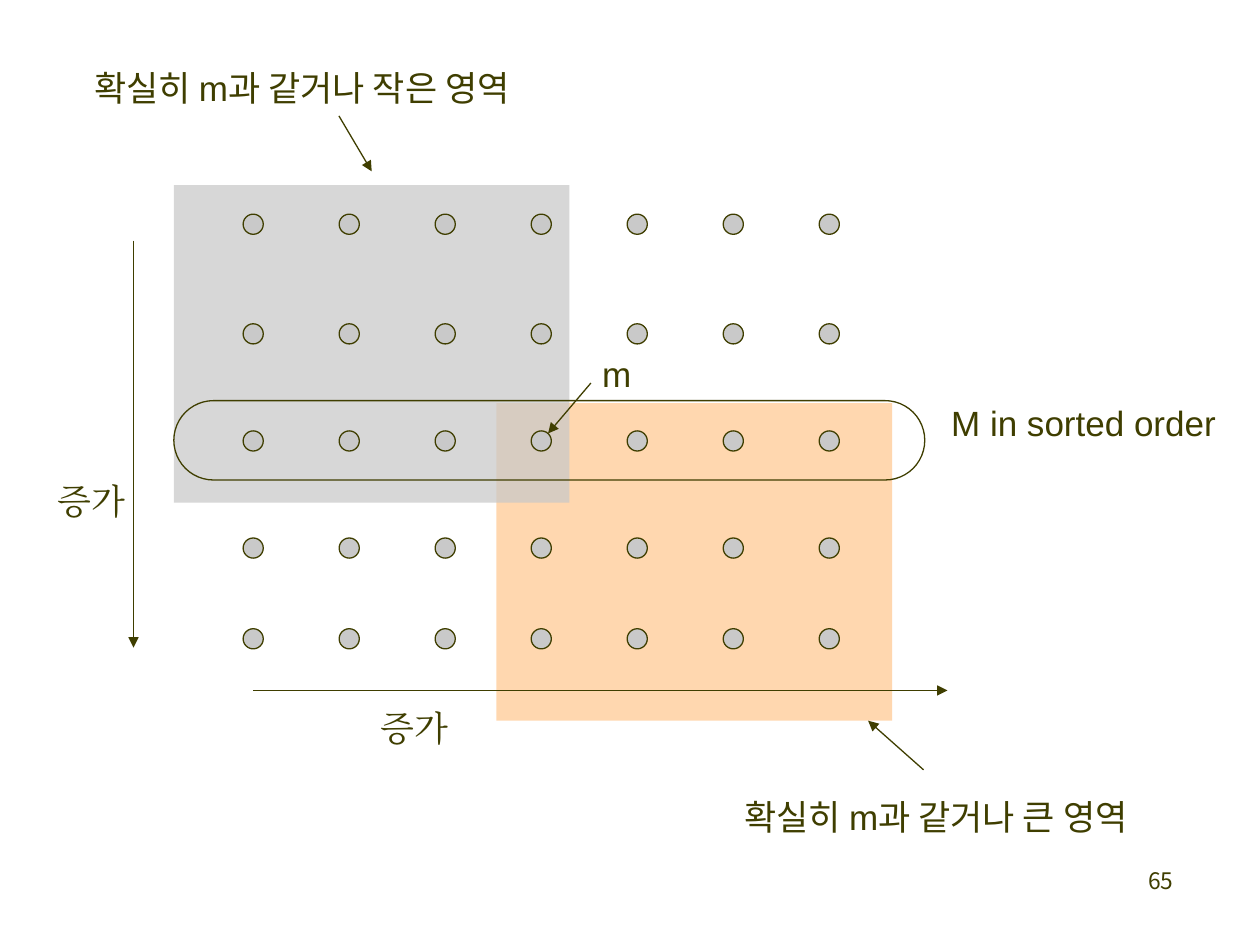
"""Build a slide showing the regions around m in a partially sorted grid."""
from lxml import etree
from pptx import Presentation
from pptx.dml.color import RGBColor
from pptx.enum.shapes import MSO_CONNECTOR, MSO_SHAPE
from pptx.enum.text import MSO_ANCHOR, MSO_AUTO_SIZE, PP_ALIGN
from pptx.oxml.ns import qn
from pptx.util import Inches, Pt

OLIVE = RGBColor(0x3F, 0x3E, 0x00)
GREY = RGBColor(0xC9, 0xC9, 0xC9)
PEACH = RGBColor(0xFF, 0xD6, 0xAD)
RECTANGLE, OVAL, PILL = MSO_SHAPE.RECTANGLE, MSO_SHAPE.OVAL, MSO_SHAPE.ROUNDED_RECTANGLE
STRAIGHT = MSO_CONNECTOR.STRAIGHT
TOP = MSO_ANCHOR.TOP
GROW, FIXED = MSO_AUTO_SIZE.SHAPE_TO_FIT_TEXT, MSO_AUTO_SIZE.NONE
LEFT, RIGHT = PP_ALIGN.LEFT, PP_ALIGN.RIGHT
ARIAL, NOTO, TIMES = "Arial", "Noto Sans CJK KR", "Times New Roman"

prs = Presentation()
prs.slide_width, prs.slide_height = Inches(10), Inches(7.5)
slide = prs.slides.add_slide(prs.slide_layouts[6])


def add_figure(kind, box, fill=None, outlined=True):
    figure = slide.shapes.add_shape(kind, *map(Inches, box))
    figure.shadow.inherit = False
    if fill is None:
        figure.fill.background()
    else:
        figure.fill.solid()
        figure.fill.fore_color.rgb = fill
    if outlined:
        figure.line.color.rgb = OLIVE
        figure.line.width = Pt(0.75)
    else:
        figure.line.fill.background()
    return figure


def add_label(text, box, latin, asian, size=20, align=LEFT, spacing=Pt(26), wrap=False, fit=GROW):
    label = slide.shapes.add_textbox(*map(Inches, box))
    frame = label.text_frame
    frame.text = text
    paragraph = frame.paragraphs[0]
    run = paragraph.runs[0]
    run.font.color.rgb = OLIVE
    formats = {
        frame: {"word_wrap": wrap, "auto_size": fit, "vertical_anchor": TOP},
        paragraph: {"alignment": align, "line_spacing": spacing},
        run.font: {"size": Pt(size), "name": latin},
    }
    for target, values in formats.items():
        for attribute, value in values.items():
            setattr(target, attribute, value)
    properties = run.font._element if hasattr(run.font, "_element") else run._r.get_or_add_rPr()
    etree.SubElement(properties, qn("a:ea"), typeface=asian)


for left, top, colour, opacity in ((3.94, 3.2, PEACH, 97), (1.38, 1.47, GREY, 73)):
    region = add_figure(RECTANGLE, (left, top, 3.14, 2.52), colour, outlined=False)
    region_colour = region.fill._xPr.find(qn("a:solidFill"))[0]
    etree.SubElement(region_colour, qn("a:alpha"), val=str(opacity * 1000))

add_label("65", (7.33, 6.83, 2.08, 0.5), NOTO, NOTO, 13, RIGHT, None, True, FIXED)

for row_top in (1.7, 2.57, 3.42, 4.27, 4.99):
    for column in range(7):
        add_figure(OVAL, (1.93 + 0.762 * column, row_top, 0.16, 0.16), GREY)

middle_row = add_figure(PILL, (1.38, 3.18, 5.96, 0.63))
middle_row.adjustments[0] = 0.5

for start, end in (
    ((4.69, 3.04), (4.35, 3.44)),
    ((7.33, 6.11), (6.89, 5.72)),
    ((2.69, 0.92), (2.95, 1.36)),
    ((1.06, 1.91), (1.06, 5.14)),
    ((2.01, 5.48), (7.52, 5.48)),
):
    arrow = slide.shapes.add_connector(STRAIGHT, *map(Inches, start + end))
    arrow.line.color.rgb = OLIVE
    arrow.line.width = Pt(0.75)
    etree.SubElement(arrow.line._get_or_add_ln(), qn("a:tailEnd"), type="triangle")
    etree.SubElement(arrow._element.spPr, qn("a:effectLst"))

for text, box, latin, asian in (
    ("M in sorted order", (7.45, 3.11, 2.32, 0.47), ARIAL, ARIAL),
    ("m", (4.68, 2.72, 0.43, 0.44), ARIAL, ARIAL),
    ("확실히 m과 같거나 큰 영역", (5.81, 6.24, 3.65, 0.47), ARIAL, NOTO),
    ("확실히 m과 같거나 작은 영역", (0.65, 0.45, 3.93, 0.47), ARIAL, NOTO),
    ("증가", (0.36, 3.73, 0.76, 0.47), TIMES, TIMES),
    ("증가", (2.92, 5.53, 0.76, 0.47), TIMES, TIMES),
):
    add_label(text, box, latin, asian)

prs.save("out.pptx")
